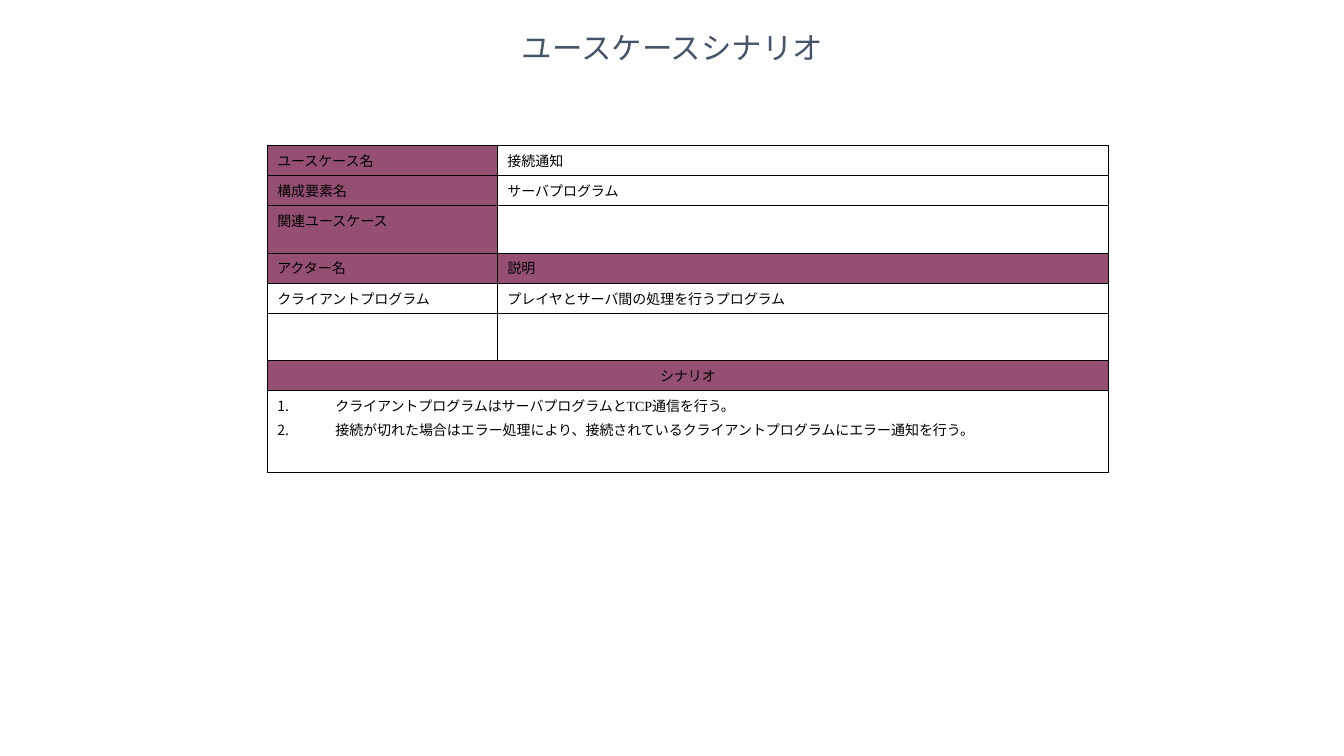
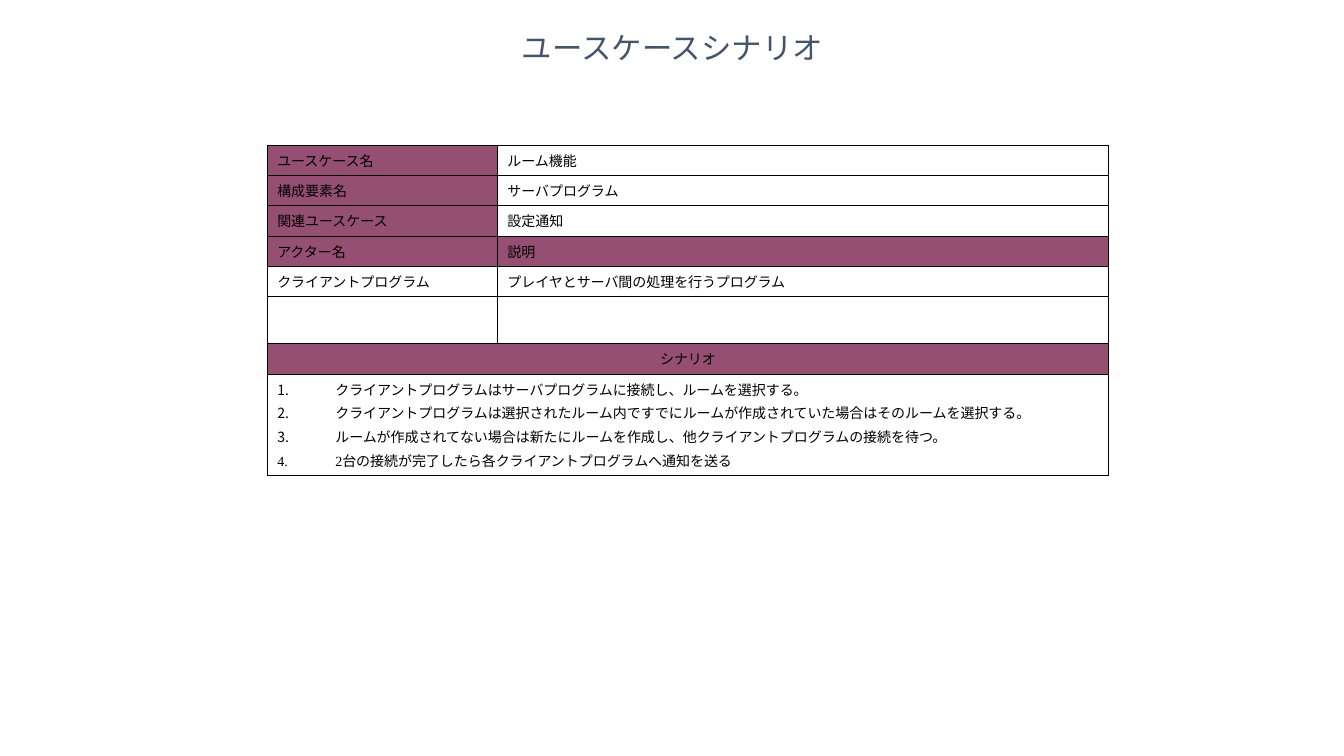
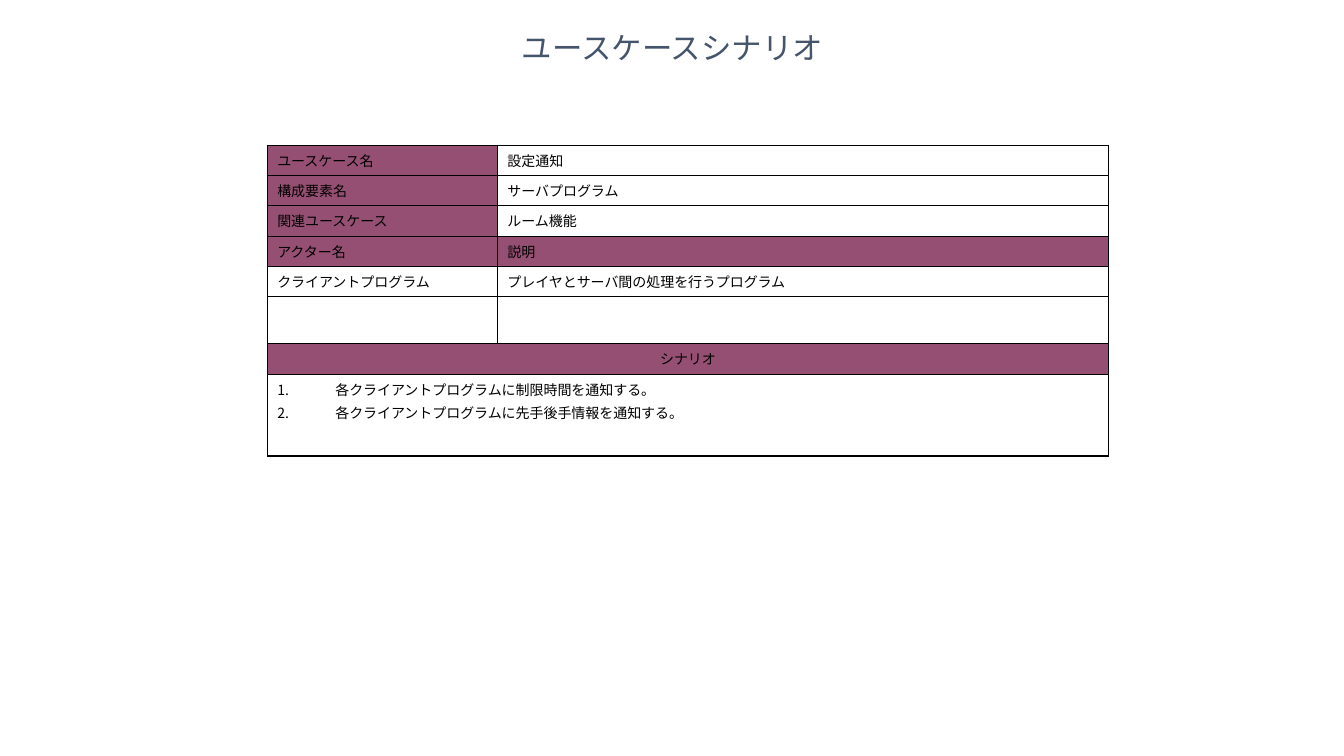
from dataclasses import dataclass

from lxml.etree import SubElement
from pptx import Presentation
from pptx.dml.color import RGBColor
from pptx.enum.lang import MSO_LANGUAGE_ID as Language
from pptx.enum.text import MSO_ANCHOR as Anchor, MSO_AUTO_SIZE as AutoSize, PP_ALIGN as Align
from pptx.oxml import parse_xml
from pptx.oxml.ns import nsdecls, qn
from pptx.util import Pt

EMU_PER_PX = 9080


@dataclass(frozen=True)
class Theme:
    font: str = "Times New Roman"
    title_color: str = "44546A"
    text_color: str = "000000"
    line_color: str = "000000"
    label_fill: str = "954F72"
    title_size: float = 21.7
    body_size: float = 10
    outer_line: float = 1.08
    inner_line: float = 0.45


THEME = Theme()
TITLE = "ユースケースシナリオ"
TITLE_BOX = (244, 27, 856, 48)
TABLE_LEFT, TABLE_TOP = 267, 145
COLUMN_WIDTHS = (230, 611)
TEXT_ROW, BLANK_ROW, STEPS_ROW = 30, 47, 82
STEP_LINE, STEP_PADDING, STEP_INDENT = 24, 5, 58

USE_CASES = [
    ("接続通知", "", [
        "クライアントプログラムはサーバプログラムとTCP通信を行う。",
        "接続が切れた場合はエラー処理により、接続されているクライアントプログラムにエラー通知を行う。",
    ]),
    ("ルーム機能", "設定通知", [
        "クライアントプログラムはサーバプログラムに接続し、ルームを選択する。",
        "クライアントプログラムは選択されたルーム内ですでにルームが作成されていた場合はそのルームを選択する。",
        "ルームが作成されてない場合は新たにルームを作成し、他クライアントプログラムの接続を待つ。",
        "2台の接続が完了したら各クライアントプログラムへ通知を送る",
    ]),
    ("設定通知", "ルーム機能", [
        "各クライアントプログラムに制限時間を通知する。",
        "各クライアントプログラムに先手後手情報を通知する。",
    ]),
]


def px(length):
    return length * EMU_PER_PX


def number_paragraph(para):
    props = para._p.get_or_add_pPr()
    props.set("marL", str(px(STEP_INDENT)))
    props.set("indent", str(-px(STEP_INDENT)))
    color = SubElement(props, qn("a:buClr"))
    SubElement(color, qn("a:srgbClr"), val=THEME.text_color)
    SubElement(props, qn("a:buAutoNum"), type="arabicPeriod")


def write_text(frame, lines, size=THEME.body_size, color=THEME.text_color,
               align=Align.LEFT, before=2.5, spacing=None, numbered=False):
    for index, line in enumerate(lines):
        para = frame.add_paragraph() if index else frame.paragraphs[0]
        para.alignment = align
        para.space_before = Pt(before)
        para.line_spacing = spacing
        if numbered:
            number_paragraph(para)
        span = para.add_run()
        span.text = line
        span.font.name = THEME.font
        span.font.size = Pt(size)
        span.font.color.rgb = RGBColor.from_string(color)
        span.font.language_id = Language.JAPANESE


def add_title(page):
    box = page.shapes.title
    box.left, box.top, box.width, box.height = map(px, TITLE_BOX)
    frame = box.text_frame
    frame.auto_size = AutoSize.NONE
    frame.vertical_anchor = Anchor.MIDDLE
    write_text(frame, [TITLE], size=THEME.title_size, color=THEME.title_color,
               align=Align.CENTER, before=0, spacing=0.8)


def draw_borders(cell, outer_sides):
    props = cell._tc.get_or_add_tcPr()
    for index, side in enumerate("LRTB"):
        width = THEME.outer_line if side in outer_sides else THEME.inner_line
        props.insert(index, parse_xml(
            f'<a:ln{side} {nsdecls("a")} w="{Pt(width)}"><a:solidFill>'
            f'<a:srgbClr val="{THEME.line_color}"/></a:solidFill></a:ln{side}>'))


def style_cell(cell, shaded, outer_sides):
    if shaded:
        cell.fill.solid()
        cell.fill.fore_color.rgb = RGBColor.from_string(THEME.label_fill)
    else:
        cell.fill.background()
    draw_borders(cell, outer_sides)


def add_scenario_table(page, name, related, steps):
    rows = [
        ("ユースケース名", name),
        ("構成要素名", "サーバプログラム"),
        ("関連ユースケース", related),
        ("アクター名", "説明"),
        ("クライアントプログラム", "プレイヤとサーバ間の処理を行うプログラム"),
        ("", ""),
    ]
    shaded = {(0, 0), (1, 0), (2, 0), (3, 0), (3, 1), (6, 0), (6, 1)}
    heights = [TEXT_ROW if all(row) else BLANK_ROW for row in rows]
    heights += [TEXT_ROW, max(STEPS_ROW, STEP_LINE * len(steps) + STEP_PADDING)]
    heading_row, steps_row = len(rows), len(rows) + 1

    table = page.shapes.add_table(
        len(heights), len(COLUMN_WIDTHS), px(TABLE_LEFT), px(TABLE_TOP),
        px(sum(COLUMN_WIDTHS)), px(sum(heights))).table
    table.first_row = table.horz_banding = False
    for column, width in zip(table.columns, COLUMN_WIDTHS):
        column.width = px(width)
    for r, height in enumerate(heights):
        table.rows[r].height = px(height)
        merged = r >= heading_row
        if merged:
            table.cell(r, 0).merge(table.cell(r, 1))
        for c in range(len(COLUMN_WIDTHS)):
            sides = "LR" if merged else "LR"[c]
            sides += "T" if r == 0 else "B" if r == steps_row else ""
            style_cell(table.cell(r, c), (r, c) in shaded, sides)

    for r, row in enumerate(rows):
        for c, text in enumerate(row):
            if text:
                write_text(table.cell(r, c).text_frame, [text])
    write_text(table.cell(heading_row, 0).text_frame, ["シナリオ"], align=Align.CENTER)
    write_text(table.cell(steps_row, 0).text_frame, steps, numbered=True)


def main():
    deck = Presentation()
    deck.slide_width, deck.slide_height = px(1343), px(755)
    for name, related, steps in USE_CASES:
        page = deck.slides.add_slide(deck.slide_layouts[5])
        add_title(page)
        add_scenario_table(page, name, related, steps)
    deck.save("out.pptx")


if __name__ == "__main__":
    main()
